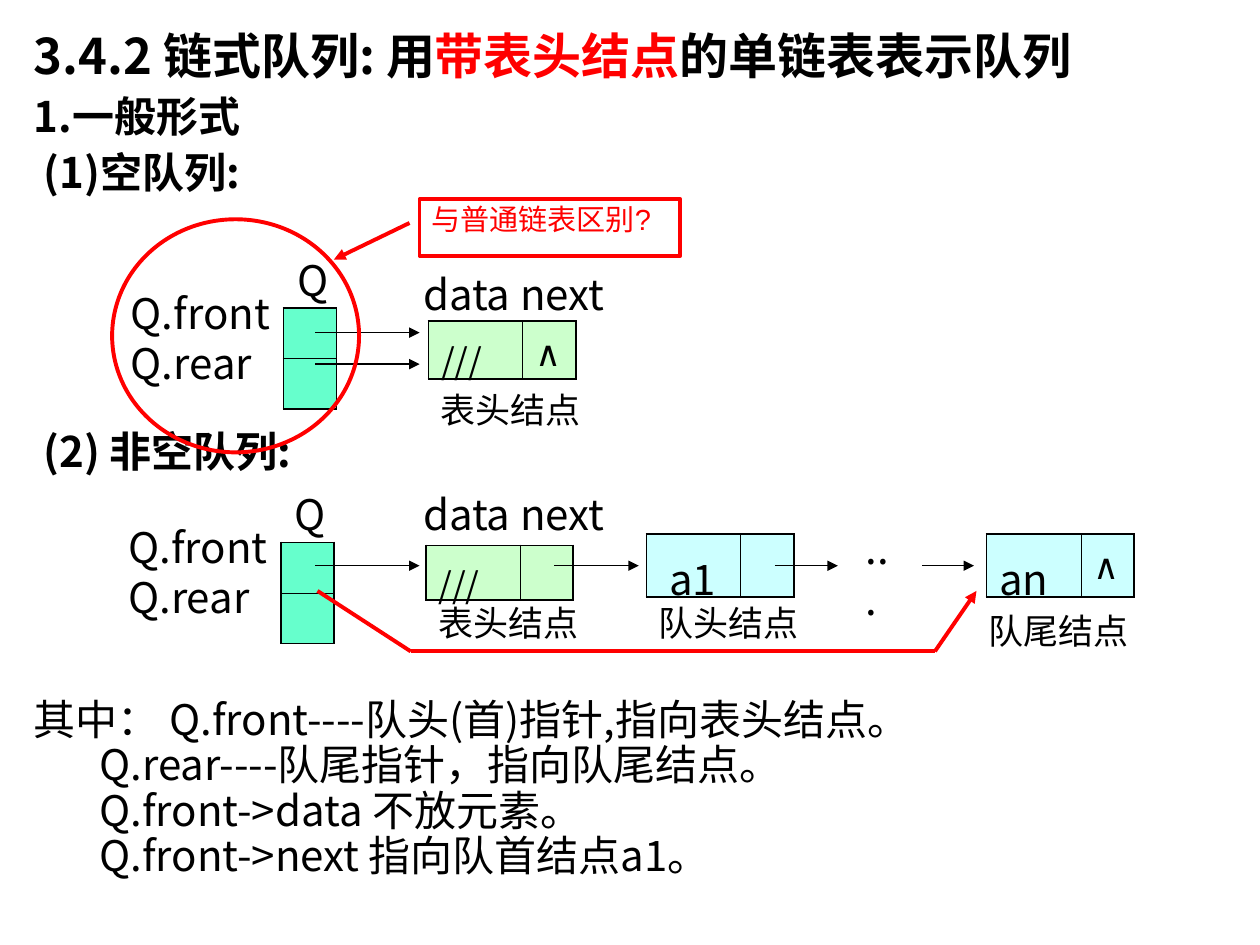
from lxml import etree
from pptx import Presentation
from pptx.dml.color import RGBColor
from pptx.enum.shapes import MSO_CONNECTOR, MSO_SHAPE
from pptx.enum.text import MSO_ANCHOR, PP_ALIGN
from pptx.oxml.ns import qn
from pptx.util import Inches, Pt

STRAIGHT = MSO_CONNECTOR.STRAIGHT
OVAL, RECTANGLE = MSO_SHAPE.OVAL, MSO_SHAPE.RECTANGLE
TOP, LEFT = MSO_ANCHOR.TOP, PP_ALIGN.LEFT

COLORS = {"ink": "000000", "accent": "FF0000", "pointer": "66FFCC",
          "head": "CCFFCC", "element": "CCFFFF"}
CJK, LATIN, CALLOUT = "Noto Sans CJK SC", "Roboto", "Arial"
SLIDE_WIDTH, SLIDE_HEIGHT = Inches(10), Inches(7.5)
COLUMN, ROW = SLIDE_WIDTH / 100, SLIDE_HEIGHT / 75
OUTER, INNER = 1.08, 0.45


def cols(count):
    return round(count * COLUMN)


def rows(count):
    return round(count * ROW)


def place(box):
    left, top, width, height = box
    return cols(left), rows(top), cols(width), rows(height)


def rgb(color):
    return RGBColor.from_string(COLORS[color])


def add_run(paragraph, text, size, color="ink", face=CJK, bold=False):
    run = paragraph.add_run()
    run.text = text
    font = run.font
    font.size, font.bold, font.name = Pt(size), bold, face
    font.color.rgb = rgb(color)
    east_asian = etree.SubElement(run._r.get_or_add_rPr(), qn("a:ea"))
    east_asian.set("typeface", CJK)


def fill_frame(frame, lines, spacing=None, before=0):
    for index, line in enumerate(lines):
        paragraph = frame.paragraphs[0] if index == 0 else frame.add_paragraph()
        paragraph.alignment = LEFT
        paragraph.line_spacing = spacing
        if index and before:
            paragraph.space_before = Pt(before)
        properties = paragraph._p.get_or_add_pPr()
        properties.set("marL", str(cols(line.get("indent", 0))))
        properties.set("indent", "0")
        for run in line["runs"]:
            add_run(paragraph, **run)


def add_text(slide, box, lines, spacing=None, before=0, wrap=True):
    frame = slide.shapes.add_textbox(*place(box)).text_frame
    frame.word_wrap = wrap
    fill_frame(frame, lines, spacing, before)


def line_of(text, size, indent=0, **style):
    return {"indent": indent, "runs": [dict(text=text, size=size, **style)]}


def add_line(slide, start, end, color="ink", weight=0.75, arrow=True):
    connector = slide.shapes.add_connector(
        STRAIGHT, cols(start[0]), rows(start[1]), cols(end[0]), rows(end[1]))
    connector.line.color.rgb = rgb(color)
    connector.line.width = Pt(weight)
    if arrow:
        tail = etree.SubElement(connector.line._get_or_add_ln(), qn("a:tailEnd"))
        tail.set("type", "triangle")
    etree.SubElement(connector._element.spPr, qn("a:effectLst"))


def set_borders(cell, widths):
    properties = cell._tc.get_or_add_tcPr()
    for index, (side, width) in enumerate(zip("LRTB", widths)):
        border = etree.Element(qn(f"a:ln{side}"), w=str(Pt(width)))
        solid = etree.SubElement(border, qn("a:solidFill"))
        etree.SubElement(solid, qn("a:srgbClr"), val=COLORS["ink"])
        properties.insert(index, border)


def add_cells(slide, left, top, widths, heights, color):
    box = (left, top, sum(widths), sum(heights))
    table = slide.shapes.add_table(len(heights), len(widths), *place(box)).table
    table.first_row = table.horz_banding = False
    for column, width in zip(table.columns, widths):
        column.width = cols(width)
    for row, height in zip(table.rows, heights):
        row.height = rows(height)
    last_row, last_column = len(heights) - 1, len(widths) - 1
    for r in range(len(heights)):
        for c in range(len(widths)):
            cell = table.cell(r, c)
            cell.fill.solid()
            cell.fill.fore_color.rgb = rgb(color)
            cell.vertical_anchor = TOP
            cell.margin_top, cell.margin_bottom = rows(1), 0
            edges = (c == 0, c == last_column, r == 0, r == last_row)
            set_borders(cell, [OUTER if edge else INNER for edge in edges])
    return table


def add_headings(slide, box):
    title = [dict(text="3.4.2 链式队列: ", size=28, bold=True)]
    for text, color, face in (("用", "ink", LATIN), ("带表头结点", "accent", LATIN),
                              ("的单链表表示", "ink", LATIN), ("队列", "ink", CJK)):
        title.append(dict(text=text, size=28, color=color, face=face, bold=True))
    add_text(slide, box, [{"runs": title},
                          line_of("1.一般形式", 24, bold=True),
                          line_of("(1)空队列:", 24, indent=0.8, bold=True)],
             spacing=0.9, before=6)


def add_explanation(slide, box):
    details = ("Q.rear----队尾指针，指向队尾结点。",
               "Q.front->data 不放元素。",
               "Q.front->next 指向队首结点a1。")
    lines = [line_of("其中： Q.front----队头(首)指针,指向表头结点。", 24)]
    lines += [line_of(text, 24, indent=5.2) for text in details]
    add_text(slide, box, lines, spacing=0.9)


def add_queue_pointers(slide, left, top):
    add_text(slide, (left + 13.2, top, 4.2, 5), [line_of("Q", 24)])
    add_text(slide, (left, top + 2.6, 13.3, 9),
             [line_of("Q.front", 24), line_of("Q.rear", 24)], wrap=False)
    add_cells(slide, left + 13.1, top + 4.75, [4.2], [4, 4], "pointer")


def add_node(slide, box, data, size, color, caption, caption_at,
             is_last=False, inset=1):
    left, top, width, height = box
    table = add_cells(slide, left, top, [width * 0.64, width * 0.36], [height], color)
    table.cell(0, 0).margin_left = cols(inset)
    fill_frame(table.cell(0, 0).text_frame, [line_of(data, size)])
    if is_last:
        fill_frame(table.cell(0, 1).text_frame, [line_of("∧", 20, face=LATIN)])
    add_text(slide, (*caption_at, 16, 4), [line_of(caption, 20)], spacing=0.9)


def add_field_names(slide, left, top):
    add_text(slide, (left, top, 16.7, 5), [line_of("data next", 24)], wrap=False)


def add_outline(slide, kind, box):
    outline = slide.shapes.add_shape(kind, *place(box))
    outline.shadow.inherit = False
    outline.fill.background()
    outline.line.color.rgb = rgb("accent")
    outline.line.width = Pt(2.25)
    return outline


def add_empty_queue(slide):
    add_field_names(slide, 32.6, 20.8)
    add_node(slide, (34, 25.5, 11.7, 4.6), "///", 20, "head",
             "表头结点", (34, 30.7), is_last=True)
    add_queue_pointers(slide, 9.4, 19.7)
    for level in (26.4, 28.9):
        add_line(slide, (25, level), (33.3, level))


def add_filled_queue(slide):
    add_field_names(slide, 32.6, 38.3)
    add_node(slide, (33.8, 43.3, 11.7, 4.3), "///", 20, "head",
             "表头结点", (33.8, 47.6))
    add_node(slide, (51.3, 42.4, 11.7, 5), "a1", 24, "element",
             "队头结点", (51.3, 47.6), inset=1.8)
    add_node(slide, (78.3, 42.4, 11.7, 5), "an", 24, "element",
             "队尾结点", (77.5, 48.3), is_last=True)
    add_text(slide, (67.7, 41, 4.6, 5), [line_of("...", 24)])
    add_queue_pointers(slide, 9.2, 38.3)
    for start, end in ((25, 33.3), (44, 50.7), (61.5, 66.5), (73.2, 77.3)):
        add_line(slide, (start, 44.9), (end, 44.9))
    rear_route = [(25.2, 46.9), (32.6, 51.7), (74.2, 51.7), (77.5, 46.9)]
    for start, end in zip(rear_route, rear_route[1:]):
        add_line(slide, start, end, "accent", 2.25, arrow=end == rear_route[-1])


def add_question(slide):
    add_outline(slide, OVAL, (8.9, 17.4, 19.6, 18.5))
    frame = add_outline(slide, RECTANGLE, (33.3, 15.8, 20.7, 4.5)).text_frame
    frame.word_wrap = True
    frame.vertical_anchor = TOP
    fill_frame(frame, [line_of("与普通链表区别?", 16.6, color="accent", face=CALLOUT)],
               spacing=0.9)
    add_line(slide, (32.5, 17.7), (26.5, 20.6), "accent", 2.25)


def main():
    deck = Presentation()
    deck.slide_width, deck.slide_height = SLIDE_WIDTH, SLIDE_HEIGHT
    slide = deck.slides.add_slide(deck.slide_layouts[6])
    add_headings(slide, (1.7, 2.1, 95.8, 14))
    add_text(slide, (1.7, 33.7, 95.8, 5),
             [line_of("(2) 非空队列:", 24, indent=0.8, bold=True)], spacing=0.9)
    add_explanation(slide, (1.7, 55, 95.8, 16))
    add_empty_queue(slide)
    add_filled_queue(slide)
    add_question(slide)
    deck.save("out.pptx")


if __name__ == "__main__":
    main()
